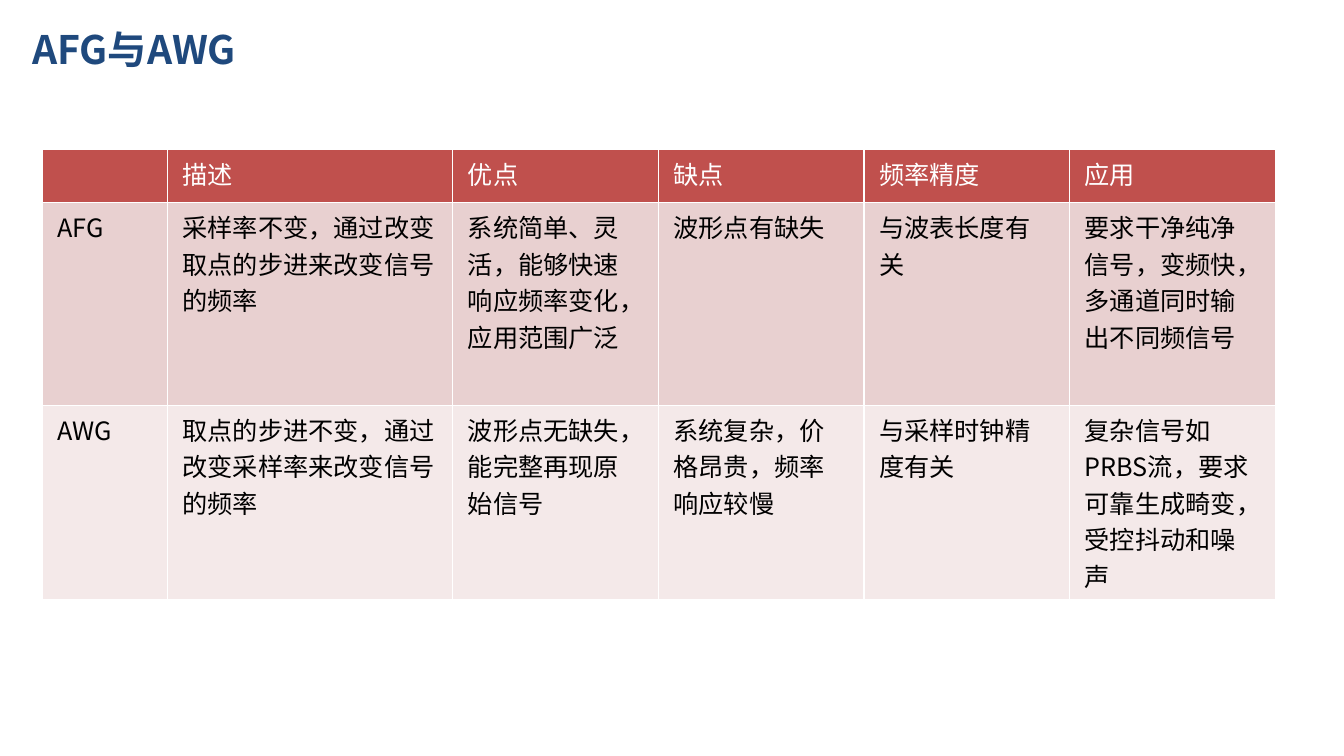
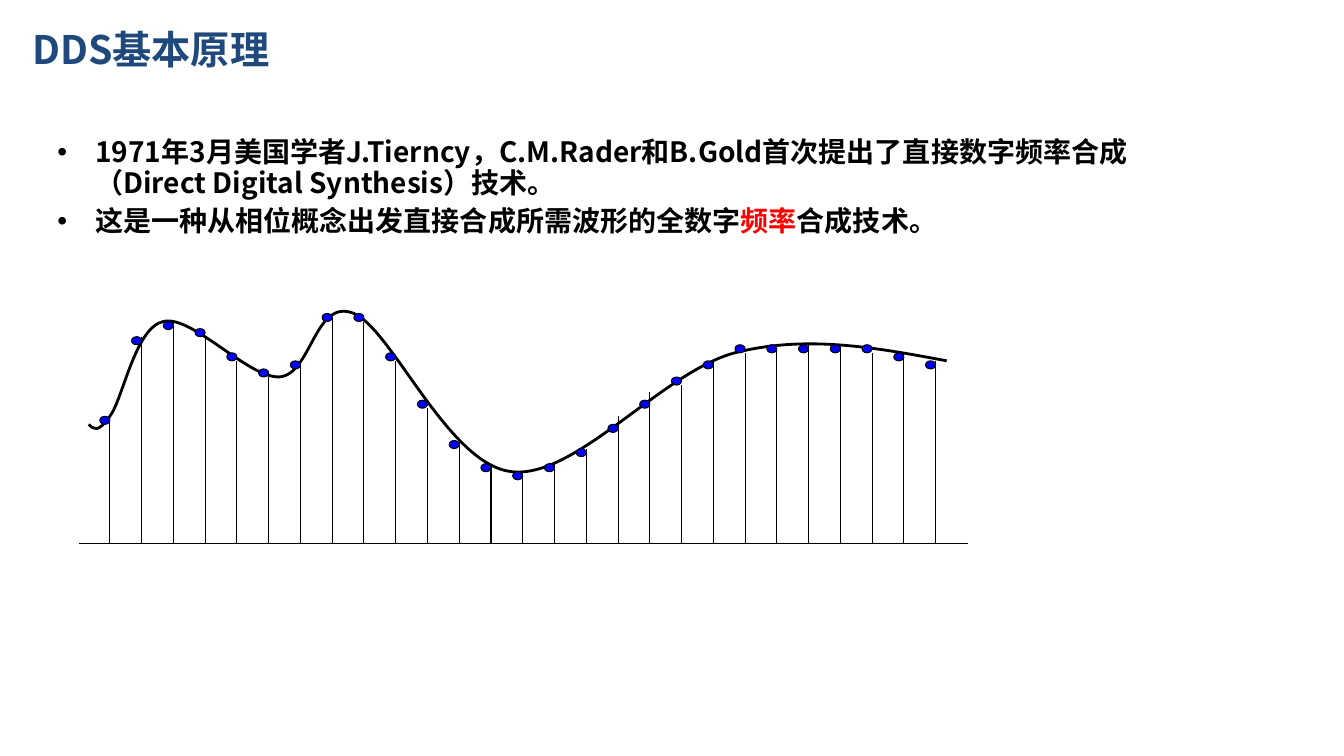
from dataclasses import dataclass

import lxml.etree
import pptx
import pptx.dml.color
import pptx.enum.lang
import pptx.enum.shapes
import pptx.enum.text
import pptx.oxml.ns
import pptx.util

Inches = pptx.util.Inches
Pt = pptx.util.Pt
qn = pptx.oxml.ns.qn


@dataclass(frozen=True)
class Theme:
    font: str = "Noto Sans CJK SC"
    title: str = "1F497D"
    ink: str = "000000"
    white: str = "FFFFFF"
    highlight: str = "FF0000"
    dot: str = "0000FF"
    header: str = "C0504D"
    bands: tuple = ("E8D0D0", "F4E9E9")
    title_size: int = 28
    body_size: int = 20
    table_size: int = 18
    border: float = 1
    thin: float = 0.75
    curve: float = 2


THEME = Theme()
TITLE_ONLY, TITLE_AND_BODY = 5, 1
TITLE_BOX = (0.22, 0.25, 11.67, 0.67)
BODY_BOX = (0.47, 1.28, 11.67, 3.39)

COMPARISON = [
    ("", "描述", "优点", "缺点", "频率精度", "应用"),
    ("AFG", "采样率不变，通过改变取点的步进来改变信号的频率",
     "系统简单、灵活，能够快速响应频率变化，应用范围广泛",
     "波形点有缺失", "与波表长度有关",
     "要求干净纯净信号，变频快，多通道同时输出不同频信号"),
    ("AWG", "取点的步进不变，通过改变采样率来改变信号的频率",
     "波形点无缺失，能完整再现原始信号",
     "系统复杂，价格昂贵，频率响应较慢", "与采样时钟精度有关",
     "复杂信号如PRBS流，要求可靠生成畸变，受控抖动和噪声"),
]
TABLE_AT = (0.42, 1.48)
COLUMN_WIDTHS = [1.24, 2.83] + [2.04] * 4
ROW_HEIGHTS = [0.53, 2.01, 1.71]

# Each bullet is a list of (text, colour) runs.
BULLETS = [
    [("1971年3月美国学者J.Tierncy，C.M.Rader和B.Gold首次提出了直接数字频率合成"
      "（Direct Digital Synthesis）技术。", THEME.ink)],
    [("这是一种从相位概念出发直接合成所需波形的全数字", THEME.ink),
     ("频率", THEME.highlight), ("合成技术。", THEME.ink)],
]

# Waveform: a start point, then cubic segments (control, control, end).
WAVE_START = (0.88, 4.21)
WAVE = [
    ((0.93, 4.26), (0.97, 4.30), (1.09, 4.13)),
    ((1.22, 3.96), (1.34, 3.25), (1.62, 3.19)),
    ((1.90, 3.12), (2.46, 3.75), (2.77, 3.74)),
    ((3.09, 3.72), (3.12, 2.95), (3.51, 3.11)),
    ((3.89, 3.27), (4.45, 4.62), (5.08, 4.68)),
    ((5.71, 4.75), (6.57, 3.69), (7.29, 3.50)),
    ((8.00, 3.32), (8.69, 3.45), (9.39, 3.58)),
]
AXIS_LEFT, AXIS_RIGHT, AXIS_Y = 0.78, 9.6, 5.39
FIRST_SAMPLE, SAMPLE_GAP = 1.09, 0.315
DOT_WIDTH, DOT_HEIGHT = 0.1, 0.08
STEM_TOPS = [
    4.13, 3.34, 3.19, 3.34, 3.58, 3.74, 3.58, 3.11, 3.19,
    3.58, 4.05, 4.37, 4.60, 4.68, 4.60, 4.45, 4.13, 3.89,
    3.82, 3.58, 3.50, 3.42, 3.42, 3.42, 3.50, 3.50, 3.58,
]
DOT_TOPS = [
    4.13, 3.34, 3.19, 3.26, 3.50, 3.66, 3.58, 3.11, 3.11,
    3.50, 3.97, 4.37, 4.60, 4.68, 4.60, 4.45, 4.21, 3.97,
    3.74, 3.58, 3.42, 3.42, 3.42, 3.42, 3.42, 3.50, 3.58,
]


def rgb(value):
    return pptx.dml.color.RGBColor.from_string(value)


def add_text(p, text, size=THEME.body_size, color=THEME.ink, bold=False):
    r = p.add_run()
    r.text = text
    font = r.font
    font.name, font.size, font.bold = THEME.font, Pt(size), bold
    font.color.rgb = rgb(color)
    font.language_id = pptx.enum.lang.MSO_LANGUAGE_ID.SIMPLIFIED_CHINESE
    ea = lxml.etree.SubElement(r._r.get_or_add_rPr(), qn("a:ea"))
    ea.set("typeface", THEME.font)


def place(sp, box):
    sp.left, sp.top, sp.width, sp.height = map(Inches, box)
    tf = sp.text_frame
    tf.word_wrap = True
    tf.auto_size = pptx.enum.text.MSO_AUTO_SIZE.NONE
    tf.vertical_anchor = pptx.enum.text.MSO_ANCHOR.TOP
    return tf


def add_slide(prs, layout, title):
    slide = prs.slides.add_slide(prs.slide_layouts[layout])
    p = place(slide.shapes.title, TITLE_BOX).paragraphs[0]
    p.alignment = pptx.enum.text.PP_ALIGN.LEFT
    p.line_spacing = 0.9
    add_text(p, title, size=THEME.title_size, color=THEME.title, bold=True)
    return slide


def format_cell(cell, text, fill, color):
    # Borders come before the fill in the cell properties.
    props = cell._tc.get_or_add_tcPr()
    for side in ("lnL", "lnR", "lnT", "lnB"):
        ln = lxml.etree.SubElement(props, qn(f"a:{side}"), w=str(Pt(THEME.border)))
        solid = lxml.etree.SubElement(ln, qn("a:solidFill"))
        lxml.etree.SubElement(solid, qn("a:srgbClr"), val=THEME.white)
    cell.fill.solid()
    cell.fill.fore_color.rgb = rgb(fill)
    cell.margin_left = cell.margin_right = Inches(0.15)
    cell.margin_top = cell.margin_bottom = Inches(0.06)
    if text:
        add_text(cell.text_frame.paragraphs[0], text, size=THEME.table_size, color=color)


def add_comparison(slide):
    frame = slide.shapes.add_table(
        len(COMPARISON), len(COLUMN_WIDTHS), *map(Inches, TABLE_AT),
        Inches(sum(COLUMN_WIDTHS)), Inches(sum(ROW_HEIGHTS)))
    table = frame.table
    table.first_row = table.horz_banding = False
    for column, width in zip(table.columns, COLUMN_WIDTHS):
        column.width = Inches(width)
    fills = (THEME.header,) + THEME.bands
    for i, (row, texts) in enumerate(zip(table.rows, COMPARISON)):
        row.height = Inches(ROW_HEIGHTS[i])
        color = THEME.ink if i else THEME.white
        for cell, text in zip(row.cells, texts):
            format_cell(cell, text, fills[i], color)


def add_bullets(slide):
    tf = place(slide.placeholders[1], BODY_BOX)
    tf.margin_top = Inches(0.08)
    for i, runs in enumerate(BULLETS):
        p = tf.add_paragraph() if i else tf.paragraphs[0]
        p.space_before = Pt(5 if i else 0)
        p.line_spacing = 0.93
        for text, color in runs:
            add_text(p, text, color=color, bold=True)


def set_line(sp, width):
    sp.line.color.rgb = rgb(THEME.ink)
    sp.line.width = Pt(width)


def add_line(shapes, *ends):
    line = shapes.add_connector(
        pptx.enum.shapes.MSO_CONNECTOR.STRAIGHT, *map(Inches, ends))
    set_line(line, THEME.thin)
    lxml.etree.SubElement(line._element.spPr, qn("a:effectLst"))


def add_curve(shapes):
    """Lay out all curve points as a polyline, then join each three into a cubic."""
    builder = shapes.build_freeform(*map(Inches, WAVE_START))
    points = [tuple(map(Inches, point)) for segment in WAVE for point in segment]
    builder.add_line_segments(points, close=False)
    curve = builder.convert_to_shape()
    outline = next(curve._element.iter(qn("a:path")))
    steps = outline.findall(qn("a:lnTo"))
    for i in range(0, len(steps), 3):
        cubic = lxml.etree.SubElement(outline, qn("a:cubicBezTo"))
        for step in steps[i:i + 3]:
            cubic.append(step[0])
            outline.remove(step)
    curve.fill.background()
    curve.shadow.inherit = False
    set_line(curve, THEME.curve)


def add_sampled_wave(slide):
    shapes = slide.shapes.add_group_shape().shapes
    add_curve(shapes)
    add_line(shapes, AXIS_LEFT, AXIS_Y, AXIS_RIGHT, AXIS_Y)
    for i, (stem_top, dot_top) in enumerate(zip(STEM_TOPS, DOT_TOPS)):
        x = FIRST_SAMPLE + i * SAMPLE_GAP
        add_line(shapes, x, stem_top, x, AXIS_Y)
        dot = shapes.add_shape(
            pptx.enum.shapes.MSO_SHAPE.OVAL,
            *map(Inches, (x - DOT_WIDTH, dot_top, DOT_WIDTH, DOT_HEIGHT)))
        dot.shadow.inherit = False
        dot.fill.solid()
        dot.fill.fore_color.rgb = rgb(THEME.dot)
        set_line(dot, THEME.thin)


def main():
    prs = pptx.Presentation()
    prs.slide_width, prs.slide_height = Inches(13.33), Inches(7.5)
    add_comparison(add_slide(prs, TITLE_ONLY, "AFG与AWG"))
    principle = add_slide(prs, TITLE_AND_BODY, "DDS基本原理")
    add_bullets(principle)
    add_sampled_wave(principle)
    prs.save("out.pptx")


if __name__ == "__main__":
    main()
